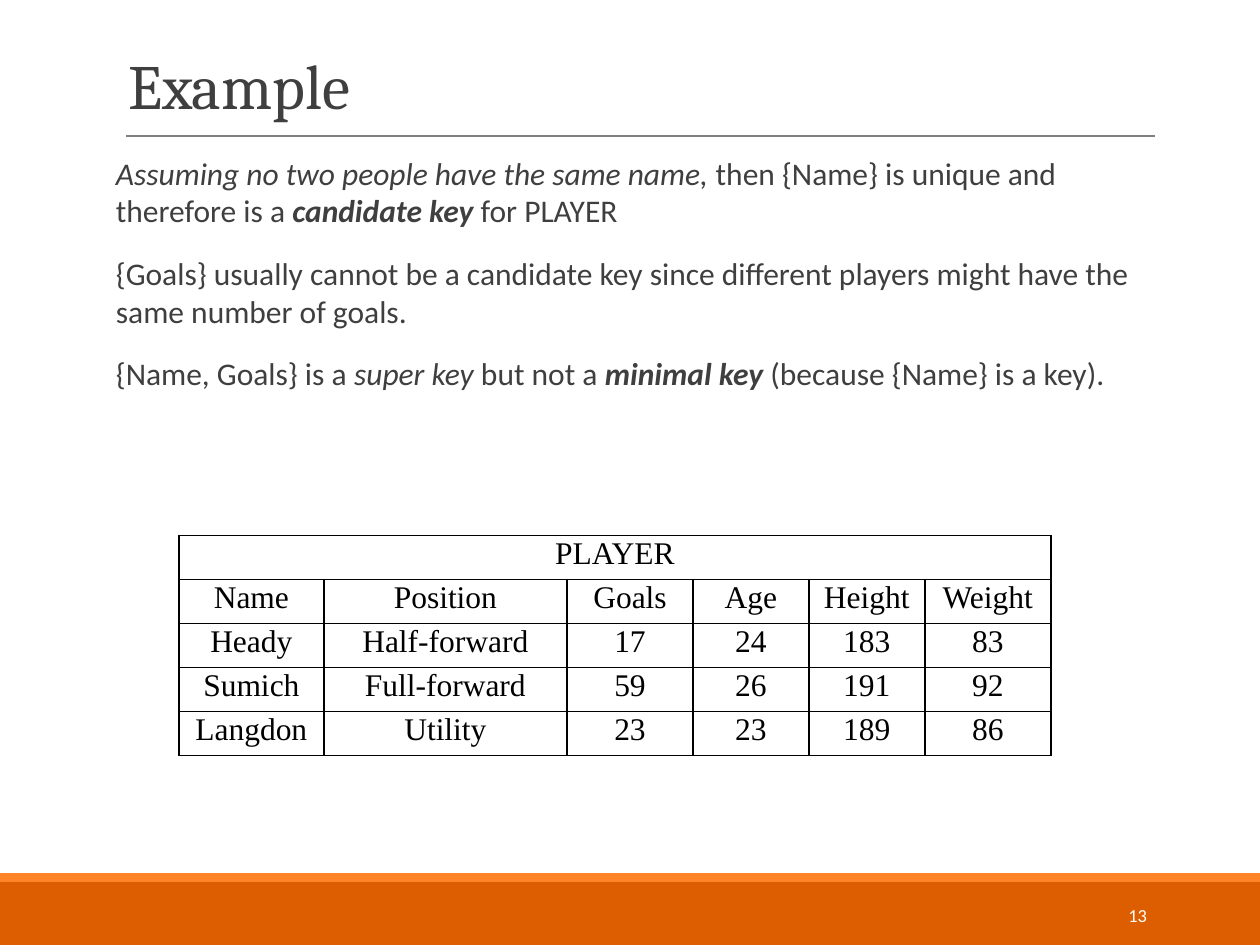
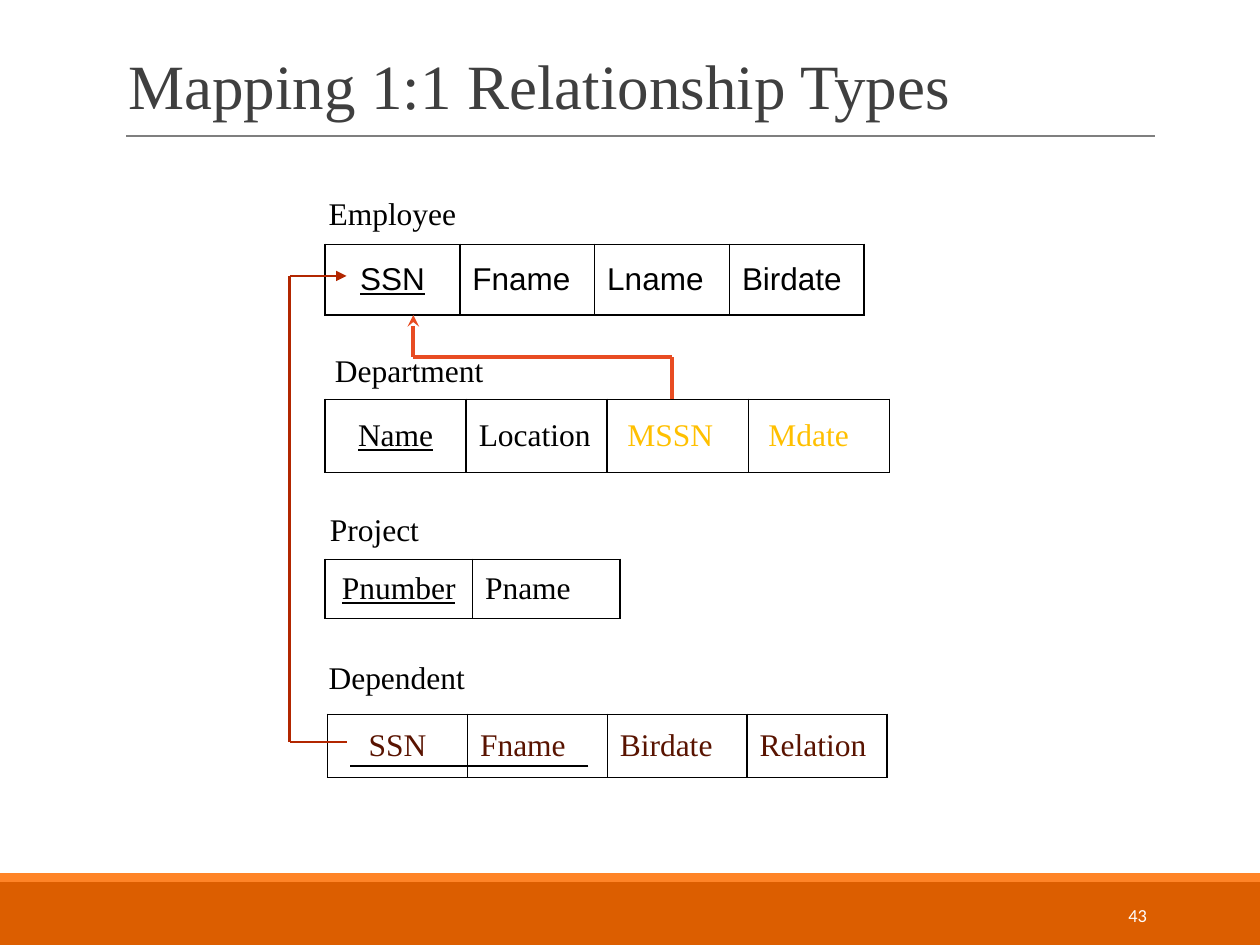
import pptx
import pptx.util
import pptx.dml.color
import pptx.enum.shapes
import pptx.enum.text
import pptx.oxml
import pptx.oxml.ns
import pptx.oxml.xmlchemy
from dataclasses import dataclass

Inches, Pt = pptx.util.Inches, pptx.util.Pt
ALIGN, ANCHOR = pptx.enum.text.PP_ALIGN, pptx.enum.text.MSO_ANCHOR


@dataclass(frozen=True)
class Theme:
    band: str = "DC5E00"
    stripe: str = "FF8427"
    rule: str = "7F7F7F"
    ink: str = "3F3F3F"
    black: str = "000000"
    white: str = "FFFFFF"
    foreign: str = "FFC000"
    dependent: str = "591300"
    manager_arrow: str = "E84C22"
    owner_arrow: str = "B22600"
    heading: str = "Cambria"
    body: str = "Calibri"
    serif: str = "Times New Roman"
    sans: str = "Arial"
    title_size: float = 36
    text_size: float = 18
    number_size: float = 10.5


THEME = Theme()
WIDTH, HEIGHT = 10, 7.5
MARGIN, CONTENT_WIDTH = 0.92, 8.25

# ---- Content: each span is (text, style letters) ----
KEY_NOTES = [
    [("Assuming no two people have the same name, ", "i"),
     ("then {Name} is unique and therefore is a ", ""),
     ("candidate key", "bi"), (" for PLAYER", "")],
    [("{Goals} usually cannot be a candidate key since different players "
      "might have the same number of goals.", "")],
    [("{Name, Goals} is a ", ""), ("super key", "i"), (" but not a ", ""),
     ("minimal key ", "bi"), ("(because {Name} is a key).", "")],
]

PLAYER_COLUMNS = [1.15, 1.93, 1, 0.92, 0.92, 1]
PLAYER_ROW = 0.33
PLAYERS = [
    ["PLAYER", "", "", "", "", ""],
    ["Name", "Position", "Goals", "Age", "Height", "Weight"],
    ["Heady", "Half-forward", "17", "24", "183", "83"],
    ["Sumich", "Full-forward", "59", "26", "191", "92"],
    ["Langdon", "Utility", "23", "23", "189", "86"],
]

RELATIONS = [
    dict(name="Employee", label=(2.51, 1.49), at=(2.58, 1.94), cell=(1.07, 0.56),
         fields=["SSN", "Fname", "Lname", "Birdate"], font=THEME.sans),
    dict(name="Department", label=(2.56, 2.74), at=(2.58, 3.17), cell=(1.12, 0.58),
         fields=["Name", "Location", "MSSN", "Mdate"], foreign=["MSSN", "Mdate"]),
    dict(name="Project", label=(2.52, 4), at=(2.58, 4.44), cell=(1.17, 0.47),
         fields=["Pnumber", "Pname"]),
    dict(name="Dependent", label=(2.51, 5.17), at=(2.6, 5.67), cell=(1.11, 0.5),
         fields=["SSN", "Fname", "Birdate", "Relation"],
         color=THEME.dependent, key_style=""),
]

# Routes: points, colour, line width, arrowhead at the last point
ROUTES = [
    ([(4.67, 6.08), (2.78, 6.08)], THEME.black, 1.5, None),
    ([(5.33, 3.17), (5.33, 2.83), (3.28, 2.83), (3.28, 2.5)],
     THEME.manager_arrow, 2.25, "stealth"),
    ([(2.75, 5.89), (2.3, 5.89), (2.3, 2.19), (2.75, 2.19)],
     THEME.owner_arrow, 1.5, "triangle"),
]


# ---- Text ----
def rgb(color):
    return pptx.dml.color.RGBColor.from_string(color)


def add_span(para, text, font, size, color, style=""):
    span = para.add_run()
    span.text = text
    span.font.name, span.font.size = font, Pt(size)
    span.font.color.rgb = rgb(color)
    span.font.bold, span.font.italic = "b" in style, "i" in style
    span.font.underline = "u" in style


def add_box(page, left, top, width, height, anchor=ANCHOR.TOP, side=0.1):
    frame = page.shapes.add_textbox(*map(Inches, (left, top, width, height))).text_frame
    frame.word_wrap = True
    frame.vertical_anchor = anchor
    frame.margin_left = frame.margin_right = Inches(side)
    return frame


# ---- Lines and bands ----
def add_band(page, top, height, color):
    band = page.shapes.add_shape(pptx.enum.shapes.MSO_SHAPE.RECTANGLE,
                                 *map(Inches, (0, top, WIDTH, height)))
    band.shadow.inherit = False
    band.fill.solid()
    band.fill.fore_color.rgb = rgb(color)
    band.line.fill.background()


def add_route(page, points, color, width, head=None):
    for start, end in zip(points, points[1:]):
        line = page.shapes.add_connector(pptx.enum.shapes.MSO_CONNECTOR.STRAIGHT,
                                         *map(Inches, start + end))
        line.line.color.rgb = rgb(color)
        line.line.width = Pt(width)
        properties = line._element.spPr
        properties.append(pptx.oxml.xmlchemy.OxmlElement("a:effectLst"))
        if head and end == points[-1]:
            tip = pptx.oxml.xmlchemy.OxmlElement("a:tailEnd")
            tip.set("type", head)
            properties.find(pptx.oxml.ns.qn("a:ln")).append(tip)


# ---- Tables ----
def add_borders(cell):
    properties = cell._tc.get_or_add_tcPr()
    for side in "LRTB":
        properties.append(pptx.oxml.parse_xml(
            f'<a:ln{side} {pptx.oxml.ns.nsdecls("a")} w="12700"><a:solidFill>'
            f'<a:srgbClr val="{THEME.black}"/></a:solidFill></a:ln{side}>'))
    cell.fill.background()


def add_grid(page, left, top, columns, row_height, rows):
    table = page.shapes.add_table(
        rows, len(columns), Inches(left), Inches(top),
        Inches(sum(columns)), Inches(row_height * rows)).table
    table.first_row = table.horz_banding = False
    for column, width in zip(table.columns, columns):
        column.width = Inches(width)
    for row in table.rows:
        row.height = Inches(row_height)
        for cell in row.cells:
            add_borders(cell)
    return table


# ---- Shared page frame ----
def add_page(deck, title, font, number):
    page = deck.slides.add_slide(deck.slide_layouts[6])
    add_band(page, 7, 0.5, THEME.band)
    add_band(page, 6.93, 0.07, THEME.stripe)
    add_route(page, [(1, 1.08), (9.17, 1.08)], THEME.rule, 0.75)
    para = add_box(page, MARGIN, 0.25, CONTENT_WIDTH, 0.77, ANCHOR.BOTTOM).paragraphs[0]
    para.line_spacing = 0.85
    add_span(para, title, font, THEME.title_size, THEME.ink)
    para = add_box(page, 8.12, 7.06, 1.08, 0.4, ANCHOR.MIDDLE).paragraphs[0]
    para.alignment = ALIGN.RIGHT
    add_span(para, str(number), THEME.body, THEME.number_size, THEME.white)
    return page


# ---- Candidate key example ----
def build_example(deck):
    page = add_page(deck, "Example", THEME.heading, 13)
    frame = add_box(page, MARGIN, 1.17, CONTENT_WIDTH, 2.29, side=0)
    for index, note in enumerate(KEY_NOTES):
        para = frame.add_paragraph() if index else frame.paragraphs[0]
        para.space_before = Pt(14 if index else 0)
        for text, style in note:
            add_span(para, text, THEME.body, THEME.text_size, THEME.ink, style)

    table = add_grid(page, 1.42, 4.25, PLAYER_COLUMNS, PLAYER_ROW, len(PLAYERS))
    table.cell(0, 0).merge(table.cell(0, len(PLAYER_COLUMNS) - 1))
    for row, values in enumerate(PLAYERS):
        for column, value in enumerate(values):
            if value:
                para = table.cell(row, column).text_frame.paragraphs[0]
                para.alignment = ALIGN.CENTER
                para.line_spacing = 0.83
                add_span(para, value, THEME.serif, THEME.text_size, THEME.black)


# ---- Relation schemas ----
def add_relation(page, relation):
    fields = relation["fields"]
    width, height = relation["cell"]
    para = add_box(page, *relation["label"], 1.56, 0.4).paragraphs[0]
    add_span(para, relation["name"], THEME.serif, THEME.text_size, THEME.black)
    table = add_grid(page, *relation["at"], [width] * len(fields), height, 1)
    for column, field in enumerate(fields):
        cell = table.cell(0, column)
        cell.vertical_anchor = ANCHOR.MIDDLE
        para = cell.text_frame.paragraphs[0]
        color, style = relation.get("color", THEME.black), ""
        if column == 0:
            para.alignment = ALIGN.CENTER
            style = relation.get("key_style", "u")
        if field in relation.get("foreign", []):
            color = THEME.foreign
            cell.margin_left = Inches(0.16)
        add_span(para, field, relation.get("font", THEME.serif),
                 THEME.text_size, color, style)


def build_mapping(deck):
    page = add_page(deck, "Mapping 1:1 Relationship Types", THEME.serif, 43)
    for relation in RELATIONS:
        add_relation(page, relation)
    for route in ROUTES:
        add_route(page, *route)


def main():
    deck = pptx.Presentation()
    deck.slide_width, deck.slide_height = Inches(WIDTH), Inches(HEIGHT)
    build_example(deck)
    build_mapping(deck)
    deck.save("out.pptx")


if __name__ == "__main__":
    main()
